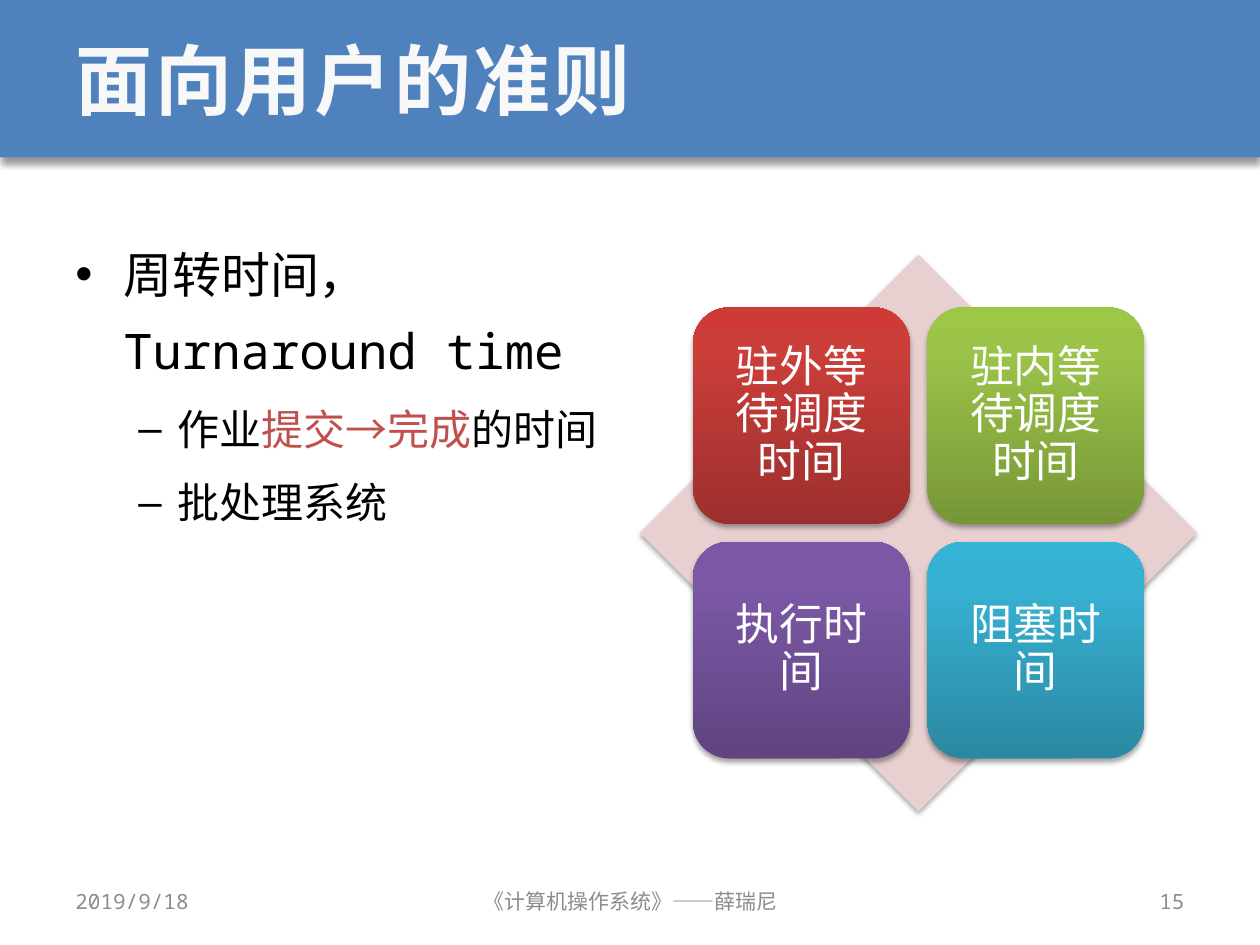
from lxml import etree
from pptx import Presentation
from pptx import util as u
from pptx.dml.color import RGBColor
from pptx.enum import shapes, text
from pptx.oxml.ns import qn

MONO = "Noto Sans Mono"
LEFT, CENTER, RIGHT = text.PP_ALIGN.LEFT, text.PP_ALIGN.CENTER, text.PP_ALIGN.RIGHT


def color(value):
    """Turn a hex string into a colour."""
    return RGBColor.from_string(value)


def element(parent, tag, **attributes):
    """Append a DrawingML child to an XML element."""
    child = etree.SubElement(parent, qn("a:" + tag))
    for name, value in attributes.items():
        child.set(name, str(value))
    return child


def add_span(para, words, size=12, fill="000000", font=MONO, bold=False, spacing=0):
    """Add formatted text to a paragraph."""
    span = para.add_run()
    span.text = words
    span.font.size = u.Pt(size)
    span.font.name = font
    span.font.bold = bold
    span.font.color.rgb = color(fill)
    if spacing:
        span.font._element.set("spc", str(int(spacing * 100)))
    return span


class Slide:
    """Hold the style and the current slide."""

    accent, red, grey, title_fill = "4F81BD", "C0504D", "8C8C8C", "F8F8F8"

    def __init__(self, deck):
        """Start a title-only page."""
        self.page = deck.slides.add_slide(deck.slide_layouts[5])

    def place(self, shape, left, top, width, height):
        """Set the position and size of a shape."""
        shape.left, shape.top = u.Inches(left), u.Inches(top)
        shape.width, shape.height = u.Inches(width), u.Inches(height)

    def shape(self, kind, at, fill, opacity=35, blur=3.1, distance=1.8):
        """Add a borderless shape with a soft shadow below it."""
        shape = self.page.shapes.add_shape(kind, *map(u.Inches, at))
        shape.line.fill.background()
        if isinstance(fill, str):
            shape.fill.solid()
            shape.fill.fore_color.rgb = color(fill)
        else:
            shape.fill.gradient()
            shape.fill.gradient_angle = 90
            stops = shape._element.spPr.find(".//" + qn("a:gsLst"))
            for old in list(stops):
                stops.remove(old)
            for position, value in zip((0, 80, 100), fill):
                stop = element(stops, "gs", pos=position * 1000)
                element(stop, "srgbClr", val=value)
        shape.shadow.inherit = False
        effects = shape._element.spPr.find(qn("a:effectLst"))
        shadow = element(effects, "outerShdw", blurRad=u.Pt(blur), dist=u.Pt(distance),
                         dir=90 * 60000, algn="t", rotWithShape=0)
        element(element(shadow, "srgbClr", val="000000"), "alpha", val=opacity * 1000)
        return shape

    def title(self, words, height=1.25):
        """Set the title on a coloured banner."""
        title = self.page.shapes.title
        banner = self.shape(shapes.MSO_SHAPE.RECTANGLE, (0, 0, 10, height), self.accent,
                            opacity=40, blur=4, distance=3)
        title._element.addprevious(banner._element)
        self.place(title, 0.5, 0, 9, height)
        title.text_frame.vertical_anchor = text.MSO_ANCHOR.MIDDLE
        para = title.text_frame.paragraphs[0]
        para.alignment = LEFT
        add_span(para, words, size=44, fill=self.title_fill, bold=True, spacing=1.5)

    def box(self, at):
        """Add an empty wrapping text box."""
        box = self.page.shapes.add_textbox(*map(u.Inches, at))
        box.text_frame.word_wrap = True
        return box.text_frame

    def bullets(self, at, items):
        """Add a two-level bullet list of (level, spans) items."""
        levels = (("•", 0.38, 0.38, 28), ("–", 0.81, 0.31, 24))
        frame = self.box(at)
        for index, (level, spans) in enumerate(items):
            mark, margin, hanging, size = levels[level]
            para = frame.add_paragraph() if index else frame.paragraphs[0]
            para.level = level
            para.line_spacing = 1.3
            para.space_before = u.Pt(size * 0.2 if index else 0)
            properties = para._p.get_or_add_pPr()
            properties.set("marL", str(u.Inches(margin)))
            properties.set("indent", str(-u.Inches(hanging)))
            element(properties, "buFont", typeface="Arial")
            element(properties, "buChar", char=mark)
            for words, fill in spans:
                add_span(para, words, size=size, fill=fill)

    def tile(self, at, words, fill):
        """Add a rounded gradient tile with a centred label."""
        frame = self.shape(shapes.MSO_SHAPE.ROUNDED_RECTANGLE, at, fill).text_frame
        frame.word_wrap = True
        frame.vertical_anchor = text.MSO_ANCHOR.MIDDLE
        frame.margin_left = frame.margin_right = u.Inches(0.1)
        frame.margin_top = frame.margin_bottom = u.Inches(0.1)
        para = frame.paragraphs[0]
        para.alignment = CENTER
        para.line_spacing = 0.9
        add_span(para, words, size=25, fill="FFFFFF", font="Arial")

    def matrix(self, left, top, side, tiles, tile=1.72, gap=0.14):
        """Add a diamond with a two-by-two grid of tiles centred on it."""
        self.shape(shapes.MSO_SHAPE.DIAMOND, (left, top, side, side), "E8D0D0")
        inset = (side - 2 * tile - gap) / 2
        for index, (words, fill) in enumerate(tiles):
            row, column = divmod(index, 2)
            x = left + inset + column * (tile + gap)
            y = top + inset + row * (tile + gap)
            self.tile((x, y, tile, tile), words, fill)

    def footer(self, left, width, words, alignment):
        """Add one footer field."""
        frame = self.box((left, 6.95, width, 0.4))
        frame.vertical_anchor = text.MSO_ANCHOR.MIDDLE
        frame.paragraphs[0].alignment = alignment
        add_span(frame.paragraphs[0], words, fill=self.grey)


def main():
    """Build the slide and save it."""
    deck = Presentation()
    deck.slide_width, deck.slide_height = u.Inches(10), u.Inches(7.5)
    slide = Slide(deck)
    black = "000000"
    slide.title("面向用户的准则")
    slide.bullets((0.5, 1.75, 4.42, 4.95), [
        (0, [("周转时间，Turnaround time", black)]),
        (1, [("作业", black), ("提交→完成", slide.red), ("的时间", black)]),
        (1, [("批处理系统", black)]),
    ])
    slide.matrix(5.08, 2.02, 4.42, [
        ("驻外等待调度时间", ("9C2F2D", "CB3E3A", "CE3B37")),
        ("驻内等待调度时间", ("779737", "9BC348", "9DC746")),
        ("执行时间", ("5F4480", "7B58A6", "7C57A8")),
        ("阻塞时间", ("2A88A2", "37B1D2", "34B4D6")),
    ])
    slide.footer(0.5, 2.33, "2019/9/18", LEFT)
    slide.footer(3.42, 3.17, "《计算机操作系统》——薛瑞尼", CENTER)
    slide.footer(7.17, 2.33, "15", RIGHT)
    deck.save("out.pptx")


if __name__ == "__main__":
    main()
